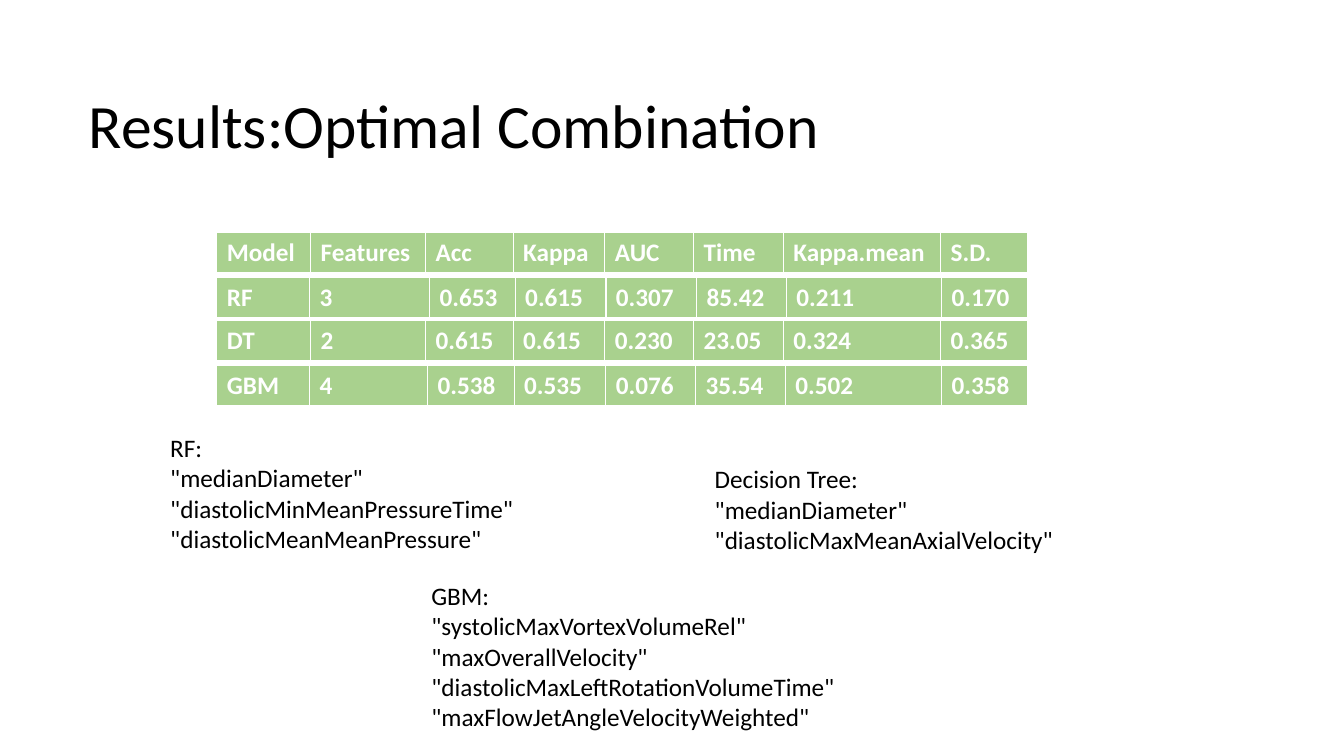
from lxml import etree
from pptx import Presentation
from pptx.dml.color import RGBColor
from pptx.enum.text import MSO_ANCHOR
from pptx.oxml.ns import qn
from pptx.util import Inches, Pt

MIDDLE = MSO_ANCHOR.MIDDLE
TITLE_ONLY = 5

COLORS = {"text": "000000", "cell": "A9D18E", "white": "FFFFFF"}
FORMATS = {
    "title": {"size": Pt(44), "bold": False, "name": "Calibri"},
    "cell": {"size": Pt(18), "bold": True, "name": "Calibri"},
    "body": {"size": Pt(18), "bold": False, "name": "Calibri"},
}
BORDERS = {"a:lnL": 1, "a:lnR": 1, "a:lnT": 1, "a:lnB": 3}

TITLE = "Results:Optimal Combination"
WIDE_COLUMNS = (0.93, 1.14, 0.87, 0.91, 0.88, 0.89, 1.56, 0.86)
RESULT_STRIPS = [
    (2.31, WIDE_COLUMNS,
     ("Model", "Features", "Acc", "Kappa", "AUC", "Time", "Kappa.mean", "S.D.")),
    (2.75, (0.92, 1.19, 0.85, 0.9, 0.9, 0.89, 1.54, 0.85),
     ("RF", "3", "0.653", "0.615", "0.307", "85.42", "0.211", "0.170")),
    (3.18, WIDE_COLUMNS,
     ("DT", "2", "0.615", "0.615", "0.230", "23.05", "0.324", "0.365")),
    (3.63, (0.92, 1.17, 0.86, 0.91, 0.89, 0.89, 1.55, 0.85),
     ("GBM", "4", "0.538", "0.535", "0.076", "35.54", "0.502", "0.358")),
]
STRIP_LEFT, STRIP_HEIGHT = 2.15, 0.41

FEATURE_LISTS = [
    ((1.59, 4.24, 5.17, 1.31),
     ["RF:", '"medianDiameter"', '"diastolicMinMeanPressureTime"',
      '"diastolicMeanMeanPressure"']),
    ((4.18, 5.71, 4.59, 1.62),
     ["GBM:", '"systolicMaxVortexVolumeRel"', '"maxOverallVelocity"',
      '"diastolicMaxLeftRotationVolumeTime"',
      '"maxFlowJetAngleVelocityWeighted"']),
    ((6.99, 4.55, 4.83, 1.01),
     ["Decision Tree:", '"medianDiameter"', '"diastolicMaxMeanAxialVelocity"']),
]


def format_text(text_frame, style, color):
    for paragraph in text_frame.paragraphs:
        for name, value in FORMATS[style].items():
            setattr(paragraph.font, name, value)
        paragraph.font.color.rgb = RGBColor.from_string(COLORS[color])


def add_borders(cell):
    properties = cell._tc.get_or_add_tcPr()
    for tag, points in BORDERS.items():
        line = etree.SubElement(properties, qn(tag), w=str(Pt(points)))
        fill = etree.SubElement(line, qn("a:solidFill"))
        etree.SubElement(fill, qn("a:srgbClr"), val=COLORS["white"])


def add_strip(slide, top, widths, values):
    frame = slide.shapes.add_table(
        1, len(values), Inches(STRIP_LEFT), Inches(top),
        Inches(sum(widths)), Inches(STRIP_HEIGHT))
    table = frame.table
    for column, width, cell, value in zip(
            table.columns, widths, table.rows[0].cells, values):
        column.width = Inches(width)
        cell.text = value
        format_text(cell.text_frame, "cell", "white")
        add_borders(cell)
        cell.fill.solid()
        cell.fill.fore_color.rgb = RGBColor.from_string(COLORS["cell"])


def add_feature_list(slide, box, lines):
    shape = slide.shapes.add_textbox(*map(Inches, box))
    shape.text_frame.word_wrap = True
    shape.text_frame.text = "\n".join(lines)
    format_text(shape.text_frame, "body", "text")


def add_title(slide):
    title = slide.shapes.title
    title.left, title.top, title.width, title.height = map(
        Inches, (0.78, 0.55, 11.5, 1.45))
    title.text_frame.text = TITLE
    title.text_frame.vertical_anchor = MIDDLE
    paragraph = title.text_frame.paragraphs[0]
    paragraph.alignment = LEFT
    paragraph.line_spacing = 0.9
    format_text(title.text_frame, "title", "text")


from pptx.enum.text import PP_ALIGN

LEFT = PP_ALIGN.LEFT


def main():
    presentation = Presentation()
    presentation.slide_width = Inches(13.33)
    presentation.slide_height = Inches(7.5)
    slide = presentation.slides.add_slide(
        presentation.slide_layouts[TITLE_ONLY])
    add_title(slide)
    for strip in RESULT_STRIPS:
        add_strip(slide, *strip)
    for feature_list in FEATURE_LISTS:
        add_feature_list(slide, *feature_list)
    presentation.save("out.pptx")


if __name__ == "__main__":
    main()
